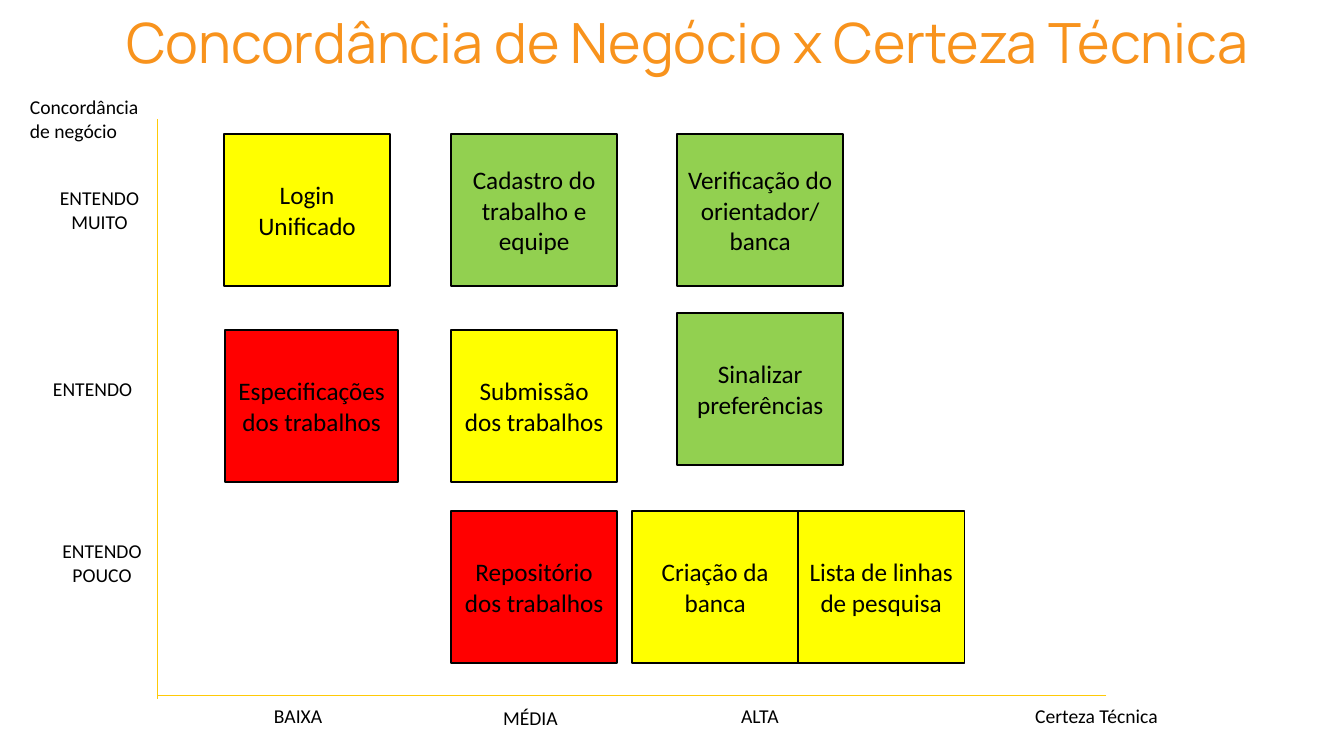
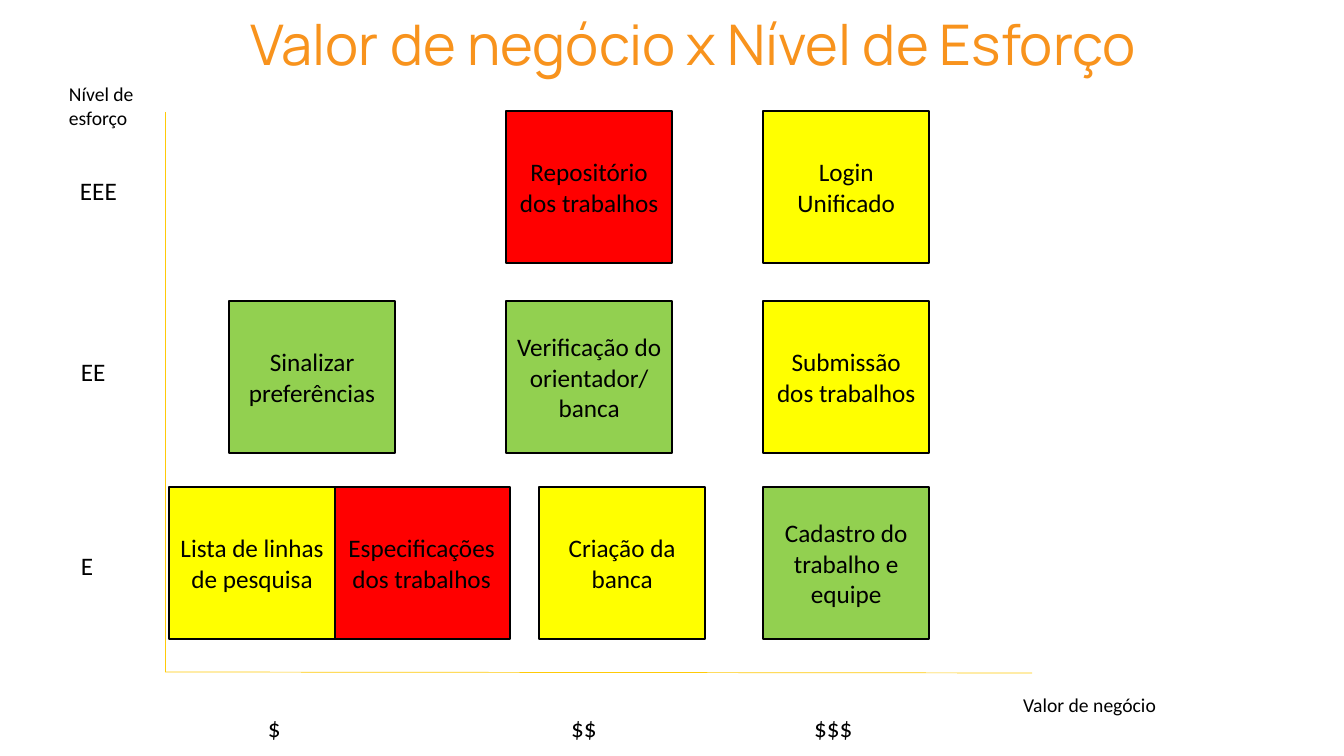
from dataclasses import dataclass
from lxml import etree
from pptx import Presentation
from pptx import util as u
from pptx.dml.color import RGBColor
from pptx.enum import shapes, text
from pptx.oxml.ns import qn


@dataclass(frozen=True)
class Theme:
    title_font: str = "Manrope"
    body_font: str = "Calibri"
    title: str = "F8931D"
    ink: str = "000000"
    axis: str = "FFCA08"
    small: int = 14
    medium: int = 18
    axis_width: float = 0.5
    card_line: int = 1


T = Theme()
RED, YELLOW, GREEN = "FF0000", "FFFF00", "92D050"
LEFT, CENTER = text.PP_ALIGN.LEFT, text.PP_ALIGN.CENTER
CARD_W, CARD_H = 166, 152

CARDS = {
    "login": ("Login Unificado", YELLOW),
    "specs": ("Especificações dos trabalhos", RED),
    "lines": ("Lista de linhas de pesquisa", YELLOW),
    "entry": ("Cadastro do trabalho e equipe", GREEN),
    "repository": ("Repositório dos trabalhos", RED),
    "check": ("Verificação do orientador/\nbanca", GREEN),
    "panel": ("Criação da banca", YELLOW),
    "submission": ("Submissão dos trabalhos", YELLOW),
    "preferences": ("Sinalizar preferências", GREEN),
}

SLIDES = [
    {
        "title": ("Concordância de Negócio x Certeza Técnica", (116, -17, 1159, 126), 39.6, 0.9),
        "axes": [(157, 119, 157, 699), (1106, 695, 157, 695)],
        "labels": [
            ("Concordância de negócio", (20, 90, 137, 57), T.small, LEFT),
            ("Certeza Técnica", (1025, 699, 160, 34), T.small, LEFT),
            ("ENTENDO MUITO", (45, 181, 109, 57), T.small, CENTER),
            ("ENTENDO", (43, 372, 118, 34), T.small, LEFT),
            ("ENTENDO POUCO", (49, 534, 106, 57), T.small, CENTER),
            ("BAIXA", (264, 699, 110, 34), T.small, LEFT),
            ("MÉDIA", (493, 701, 122, 34), T.small, LEFT),
            ("ALTA", (731, 699, 102, 34), T.small, LEFT),
        ],
        "rows": [
            (134, [("login", 224), ("entry", 451), ("check", 677)]),
            (330, [("specs", 225, 173), ("submission", 451)]),
            (313, [("preferences", 677)]),
            (511, [("repository", 451), ("panel", 632), ("lines", 798)]),
        ],
    },
    {
        "title": ("Valor de negócio x Nível de Esforço", (240, 4, 912, 78), 40, 1.0),
        "axes": [(165, 112, 165, 672), (1032, 673, 165, 672)],
        "labels": [
            ("Nível de esforço", (59, 77, 137, 57), T.small, LEFT),
            ("Valor de negócio", (1013, 688, 162, 34), T.small, LEFT),
            ("EEE", (70, 170, 75, 40), T.medium, LEFT),
            ("EE", (71, 351, 60, 40), T.medium, LEFT),
            ("E", (71, 545, 40, 40), T.medium, LEFT),
            ("$", (258, 707, 82, 40), T.medium, LEFT),
            ("$$", (561, 707, 82, 40), T.medium, LEFT),
            ("$$$", (804, 707, 82, 40), T.medium, LEFT),
        ],
        "rows": [
            (111, [("repository", 506), ("login", 763)]),
            (301, [("preferences", 229), ("check", 506), ("submission", 763)]),
            (487, [("specs", 333, 177), ("lines", 169), ("panel", 539), ("entry", 763)]),
        ],
    },
]


def px(*values):
    return [round(v * u.Inches(1) / 100.8) for v in values]


def rgb(value):
    return RGBColor.from_string(value)


def apply(target, values):
    for name, value in values.items():
        setattr(target, name, value)


def write(sp, words, size, align, frame, font=T.body_font, color=T.ink, spacing=1.0):
    tf = sp.text_frame
    tf.text = words
    apply(tf, {"word_wrap": True, **frame})
    for p in tf.paragraphs:
        apply(p, {"alignment": align, "line_spacing": spacing})
        for r in p.runs:
            apply(r.font, {"name": font, "size": u.Pt(size)})
            r.font.color.rgb = rgb(color)


def add_title(s, words, box, size, spacing):
    sp = s.shapes.title
    apply(sp, dict(zip(("left", "top", "width", "height"), px(*box))))
    frame = {"auto_size": text.MSO_AUTO_SIZE.NONE, "vertical_anchor": text.MSO_ANCHOR.MIDDLE}
    write(sp, words, size, LEFT, frame, T.title_font, T.title, spacing)


def add_axis(s, ends):
    sp = s.shapes.add_connector(shapes.MSO_CONNECTOR.STRAIGHT, *px(*ends))
    sp.line.color.rgb = rgb(T.axis)
    sp.line.width = u.Pt(T.axis_width)
    etree.SubElement(sp._element.spPr, qn("a:effectLst"))


def add_label(s, words, box, size, align):
    sp = s.shapes.add_textbox(*px(*box))
    write(sp, words, size, align, {"auto_size": text.MSO_AUTO_SIZE.SHAPE_TO_FIT_TEXT})


def add_card(s, top, key, left, width=CARD_W):
    words, color = CARDS[key]
    sp = s.shapes.add_shape(shapes.MSO_SHAPE.RECTANGLE, *px(left, top, width, CARD_H))
    sp.shadow.inherit = False
    sp.fill.solid()
    sp.fill.fore_color.rgb = rgb(color)
    sp.line.color.rgb = rgb(T.ink)
    sp.line.width = u.Pt(T.card_line)
    write(sp, words, T.medium, CENTER, {"vertical_anchor": text.MSO_ANCHOR.MIDDLE})


prs = Presentation()
apply(prs, {"slide_width": u.Inches(13.33), "slide_height": u.Inches(7.5)})
for content in SLIDES:
    s = prs.slides.add_slide(prs.slide_layouts[5])
    add_title(s, *content["title"])
    for ends in content["axes"]:
        add_axis(s, ends)
    for label in content["labels"]:
        add_label(s, *label)
    for top, cards in content["rows"]:
        for card in cards:
            add_card(s, top, *card)
prs.save("out.pptx")
